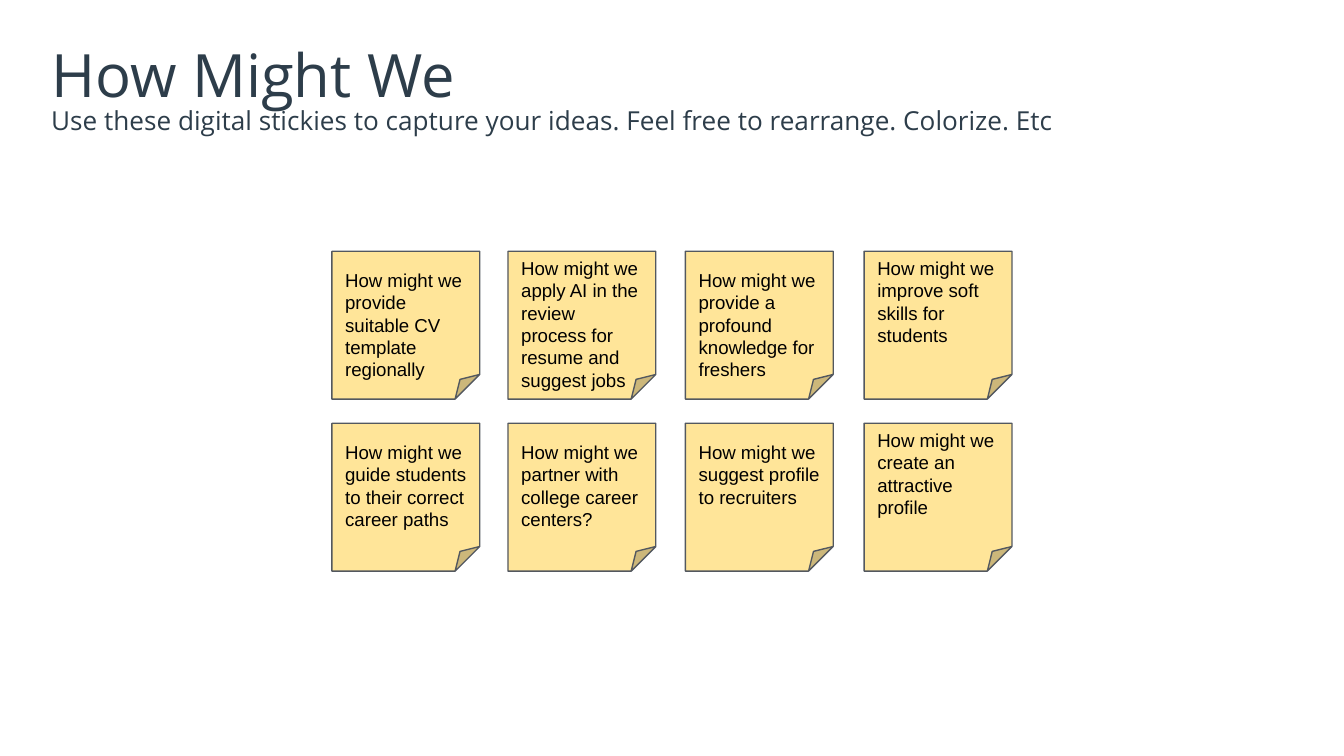
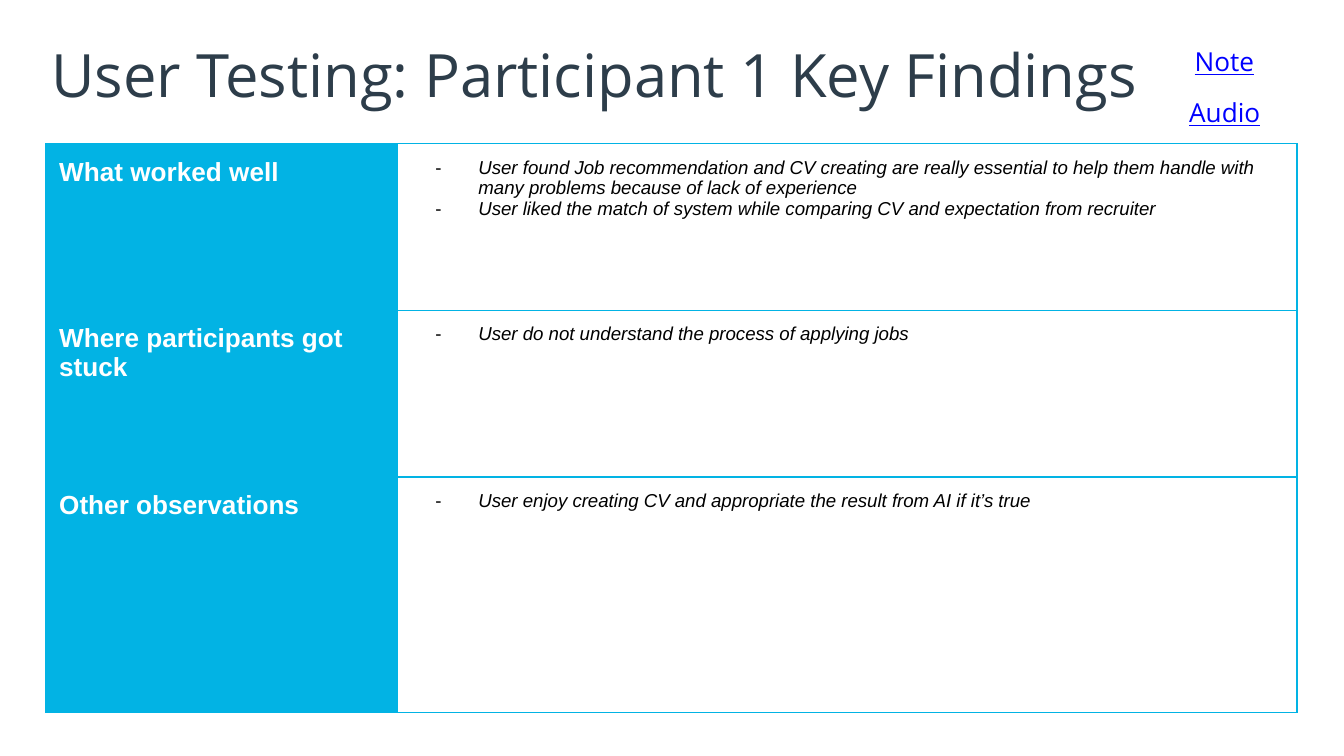
import lxml.etree
import pptx
import pptx.dml.color
import pptx.enum.shapes
import pptx.enum.text
import pptx.oxml.ns
import pptx.util

Inches = pptx.util.Inches
Pt = pptx.util.Pt
qn = pptx.oxml.ns.qn

COLORS = {
    "ink": "2D3D4A",
    "black": "000000",
    "white": "FFFFFF",
    "link": "0000FF",
    "sticky": "FFE599",
    "edge": "53585F",
    "cyan": "02B3E4",
}

TITLE = {"name": "Open Sans", "size": Pt(32), "color": "ink"}
LEAD = TITLE | {"size": Pt(14)}
LINK = LEAD | {"color": "link", "underline": True}
NOTE = {"name": "Arial", "size": Pt(10), "color": "black"}
FINDING = NOTE | {"bold": False, "italic": True}
HEAD = {"name": "Arial", "size": Pt(14), "color": "white", "bold": True}

LEFTS = (2.47, 3.78, 5.1, 6.43)

# Text and the gap above it, in inches
STICKIES = [
    [
        ("How might we provide suitable CV template regionally", 0.13),
        ("How might we apply AI in the review process for resume "
         "and suggest jobs", 0.04),
        ("How might we provide a profound knowledge for freshers", 0.13),
        ("How might we improve soft skills for students", 0.04),
    ],
    [
        ("How might we guide students to their correct career paths", 0.13),
        ("How might we partner with college career centers?", 0.13),
        ("How might we suggest profile to recruiters", 0.13),
        ("How might we create an attractive profile", 0.04),
    ],
]

FINDINGS = [
    ("What worked well", 1.24, [
        "User found Job recommendation and CV creating are really essential "
        "to help them handle with many problems because of lack of experience",
        "User liked the match of system while comparing CV and expectation "
        "from recruiter",
    ]),
    ("Where participants got stuck", 1.24, [
        "User do not understand the process of applying jobs",
    ]),
    ("Other observations", 1.75, [
        "User enjoy creating CV and appropriate the result from AI "
        "if it’s true",
    ]),
]


def rgb(key):
    return pptx.dml.color.RGBColor.from_string(COLORS[key])


def style(font, look):
    for key, value in look.items():
        if key == "color":
            font.color.rgb = rgb(value)
        else:
            setattr(font, key, value)


def pad(item, size, top=None):
    """Set the margins of a text frame or cell; top may differ."""
    for side in ("left", "right", "top", "bottom"):
        setattr(item, "margin_" + side, Inches(size))
    if top is not None:
        item.margin_top = Inches(top)


def write(para, text, look):
    para.alignment = pptx.enum.text.PP_ALIGN.LEFT
    run = para.add_run()
    run.text = text
    style(run.font, look)


def add_text(slide, text, left, top, width, height, look, inset):
    box = slide.shapes.add_textbox(*map(Inches, (left, top, width, height)))
    frame = box.text_frame
    frame.word_wrap = True
    pad(frame, inset)
    write(frame.paragraphs[0], text, look)


def add_title(slide, text, top=0.24, look=TITLE):
    add_text(slide, text, 0.34, top, 9.32, 0.63, look, 0.04)


def add_sticky(slide, text, left, top, gap):
    side = Inches(1.1)
    kind = pptx.enum.shapes.MSO_SHAPE.FOLDED_CORNER
    shape = slide.shapes.add_shape(kind, Inches(left), Inches(top), side, side)
    shape.shadow.inherit = False
    shape.fill.solid()
    shape.fill.fore_color.rgb = rgb("sticky")
    shape.line.color.rgb = rgb("edge")
    shape.line.width = Pt(0.75)
    frame = shape.text_frame
    frame.word_wrap = True
    frame.vertical_anchor = pptx.enum.text.MSO_ANCHOR.TOP
    pad(frame, 0.1, gap)
    frame.margin_bottom = 0
    para = frame.paragraphs[0]
    para.line_spacing = Pt(12)
    write(para, text, NOTE)


def add_dash(para):
    """Give a paragraph a hanging dash as its bullet."""
    props = para._p.get_or_add_pPr()
    props.set("marL", str(Inches(0.5)))
    props.set("indent", str(Inches(-0.32)))
    tint = lxml.etree.SubElement(props, qn("a:buClr"))
    lxml.etree.SubElement(tint, qn("a:srgbClr"), val=COLORS["black"])
    lxml.etree.SubElement(props, qn("a:buSzPts"), val="1000")
    lxml.etree.SubElement(props, qn("a:buFont"), typeface="Arial")
    lxml.etree.SubElement(props, qn("a:buChar"), char="-")


def add_edges(cell):
    props = cell._tc.get_or_add_tcPr()
    for side in "LRTB":
        line = lxml.etree.SubElement(props, qn("a:ln" + side), w=str(Pt(0.75)))
        fill = lxml.etree.SubElement(line, qn("a:solidFill"))
        lxml.etree.SubElement(fill, qn("a:srgbClr"), val=COLORS["cyan"])


def fill_cell(cell, texts, look, back=None, dash=False):
    pad(cell, 0.1)
    add_edges(cell)
    if back:
        cell.fill.solid()
        cell.fill.fore_color.rgb = rgb(back)
    else:
        cell.fill.background()
    frame = cell.text_frame
    for index, text in enumerate(texts):
        para = frame.add_paragraph() if index else frame.paragraphs[0]
        if dash:
            add_dash(para)
        write(para, text, look)


def add_findings(slide):
    widths = (2.62, 6.69)
    tall = sum(height for _, height, _ in FINDINGS)
    table = slide.shapes.add_table(
        len(FINDINGS), len(widths), Inches(0.34), Inches(1.07),
        Inches(sum(widths)), Inches(tall)).table
    table.first_row = table.horz_banding = False
    for column, width in zip(table.columns, widths):
        column.width = Inches(width)
    for row, (head, height, points) in zip(table.rows, FINDINGS):
        row.height = Inches(height)
        left, right = row.cells
        fill_cell(left, [head], HEAD, back="cyan")
        fill_cell(right, points, FINDING, dash=True)


def main():
    deck = pptx.Presentation()
    deck.slide_width = Inches(10)
    deck.slide_height = Inches(10) * 9 // 16
    blank = deck.slide_layouts[6]

    board = deck.slides.add_slide(blank)
    add_title(board, "How Might We")
    for row, notes in enumerate(STICKIES):
        for left, (text, gap) in zip(LEFTS, notes):
            add_sticky(board, text, left, 1.87 + 1.28 * row, gap)
    add_title(board, "Use these digital stickies to capture your ideas. "
              "Feel free to rearrange. Colorize. Etc", 0.74, LEAD)

    tests = deck.slides.add_slide(blank)
    add_title(tests, "User Testing: Participant 1 Key Findings")
    add_findings(tests)
    for text, left, top in (("Audio", 8.75, 0.62), ("Note", 8.79, 0.24)):
        add_text(tests, text, left, top, 1.1, 0.44, LINK, 0.1)

    deck.save("out.pptx")


if __name__ == "__main__":
    main()
